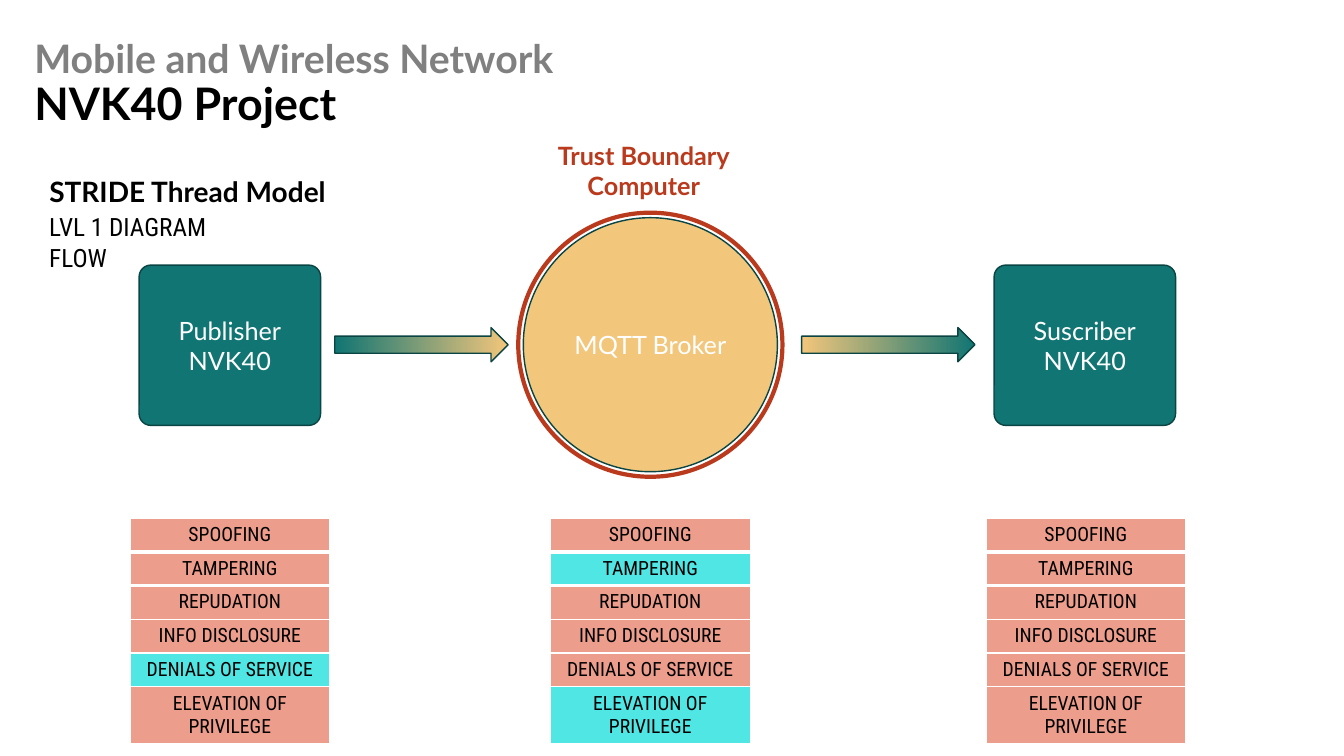
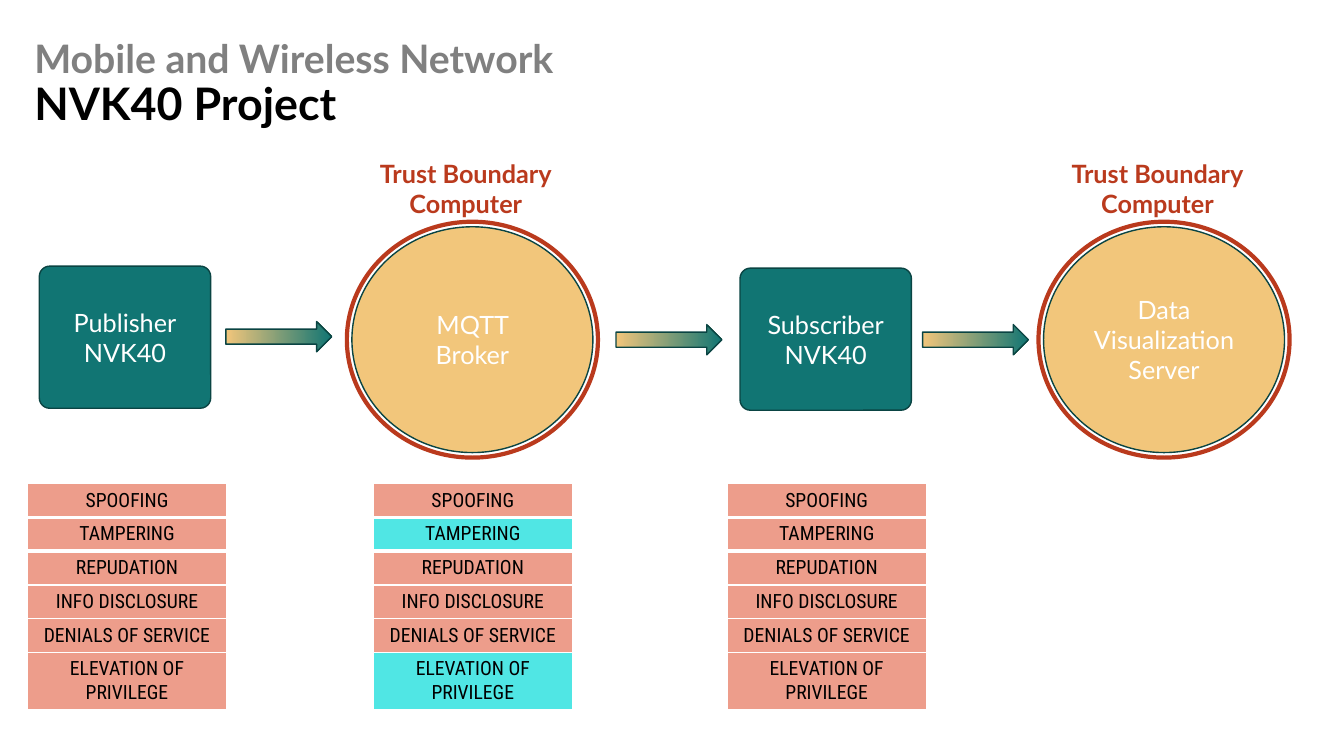
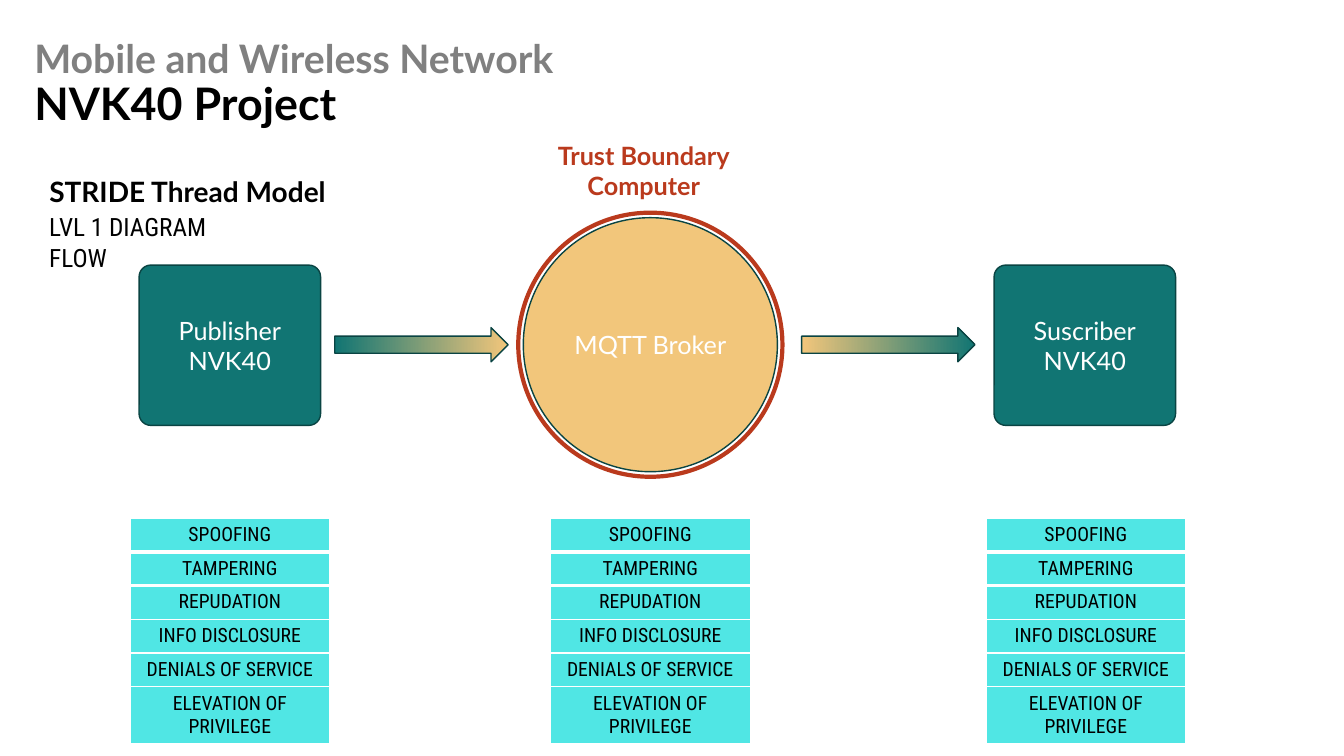
from copy import deepcopy
from dataclasses import dataclass

from pptx import Presentation
from pptx.dml.color import RGBColor
from pptx.enum.shapes import MSO_SHAPE
from pptx.enum.text import MSO_ANCHOR, MSO_AUTO_SIZE, PP_ALIGN
from pptx.oxml import parse_xml
from pptx.oxml.ns import nsdecls, qn
from pptx.util import Inches, Pt

LEFT, CENTER = PP_ALIGN.LEFT, PP_ALIGN.CENTER
MIDDLE, BOTTOM = MSO_ANCHOR.MIDDLE, MSO_ANCHOR.BOTTOM
FIXED = MSO_AUTO_SIZE.NONE
ROUND, OVAL, ARROW = MSO_SHAPE.ROUNDED_RECTANGLE, MSO_SHAPE.OVAL, MSO_SHAPE.RIGHT_ARROW


@dataclass(frozen=True)
class Theme:
    font: str = "Lato"
    thin: str = "Roboto Condensed"
    black: str = "000000"
    white: str = "FFFFFF"
    gray: str = "808080"
    teal: str = "117573"
    edge: str = "0A4443"
    sand: str = "F2C67B"
    rust: str = "BA3A1D"
    rose: str = "ED9D8B"
    aqua: str = "50E6E4"
    title: int = 32
    over: int = 28
    head: int = 20
    body: int = 18
    cell: int = 14


T = Theme()
BOARD = "NVK40"
THREATS = (
    "SPOOFING",
    "TAMPERING",
    "REPUDATION",
    "INFO DISCLOSURE",
    "DENIALS OF SERVICE",
    "ELEVATION OF PRIVILEGE",
)
BROKER = {"TAMPERING", "ELEVATION OF PRIVILEGE"}


def rgb(code):
    return RGBColor.from_string(code)


def say(frame, text, size=T.body, color=T.black, font=T.font, bold=False,
        align=LEFT, space=None, lead=None):
    for n, line in enumerate(text.split("\n")):
        para = frame.add_paragraph() if n else frame.paragraphs[0]
        para.text = line
        para.alignment = align
        para.line_spacing = space
        for k, run in enumerate(para.runs):
            pts, tint = lead if lead and k == 0 else (size, color)
            run.font.size = Pt(pts)
            run.font.color.rgb = rgb(tint)
            run.font.name = font
            run.font.bold = bold
        for gap in para._p.findall(qn("a:br")):
            gap.insert(0, deepcopy(para.runs[0]._r.rPr))


def place(at):
    return [Inches(v) for v in at]


def label(slide, at, text, **form):
    frame = slide.shapes.add_textbox(*place(at)).text_frame
    frame.word_wrap = True
    say(frame, text, **form)


def shape(slide, kind, at, fill=None, line=T.edge, width=1, text=None):
    item = slide.shapes.add_shape(kind, *place(at))
    item.shadow.inherit = False
    item.line.color.rgb = rgb(line)
    item.line.width = Pt(width)
    if fill:
        item.fill.solid()
        item.fill.fore_color.rgb = rgb(fill)
    else:
        item.fill.background()
    if text:
        item.text_frame.vertical_anchor = MIDDLE
        say(item.text_frame, text, color=T.white, align=CENTER)
    return item


def device(slide, at, text):
    shape(slide, ROUND, at, T.teal, text=text).adjustments[0] = 0.073


def server(slide, at, text, rise, pad=0.05):
    x, y, w, h = at
    shape(slide, OVAL, at, T.sand, text=text)
    shape(slide, OVAL, (x - pad, y - pad, w + 2 * pad, h + 2 * pad), line=T.rust, width=3)
    label(slide, (x + 0.14, y - rise, w - 0.41, 0.7), "Trust Boundary\vComputer",
          color=T.rust, bold=True, align=CENTER)


def arrow(slide, at, start=T.sand, end=T.teal):
    fill = shape(slide, ARROW, at).fill
    fill.gradient()
    fill.gradient_angle = 0
    for stop, tint in zip(fill.gradient_stops, (start, end)):
        stop.color.rgb = rgb(tint)


def border(cell, side, width):
    line = parse_xml(
        f'<a:{side} {nsdecls("a")} w="{Pt(width)}"><a:solidFill>'
        f'<a:srgbClr val="{T.white}"/></a:solidFill></a:{side}>')
    cell._tc.get_or_add_tcPr().insert(0, line)


def threats(slide, x, y, marked):
    grid = slide.shapes.add_table(len(THREATS), 1, *place((x, y, 1.98, 2.01))).table
    for n, name in enumerate(THREATS):
        cell = grid.cell(n, 0)
        cell.fill.solid()
        cell.fill.fore_color.rgb = rgb(T.aqua if name in marked else T.rose)
        say(cell.text_frame, name, size=T.cell, font=T.thin, align=CENTER)
    border(grid.cell(0, 0), "lnB", 3)
    border(grid.cell(1, 0), "lnT", 3)


def start():
    deck = Presentation()
    deck.slide_width, deck.slide_height = Inches(13.33), Inches(7.5)
    title = deck.slide_layouts[5].placeholders[0]
    title.left, title.top, title.width, title.height = place((0.24, 0.19, 7.34, 1.15))
    title.text_frame.vertical_anchor = BOTTOM
    title.text_frame.auto_size = FIXED
    return deck


def page(deck):
    slide = deck.slides.add_slide(deck.slide_layouts[5])
    say(slide.shapes.title.text_frame, f"Mobile and Wireless Network\v{BOARD} Project",
        size=T.title, bold=True, space=0.9, lead=(T.over, T.gray))
    return slide


def model(deck, marks):
    slide = page(deck)
    label(slide, (0.39, 1.68, 3.22, 0.44), "STRIDE Thread Model", size=T.head, bold=True)
    label(slide, (0.39, 2.05, 1.8, 0.4), "LVL 1 DIAGRAM FLOW", font=T.thin)
    for x, name in ((1.38, "Publisher"), (9.86, "Suscriber")):
        device(slide, (x, 2.63, 1.8, 1.59), f"{name}\n{BOARD}")
    server(slide, (5.19, 2.16, 2.52, 2.52), "MQTT Broker", 0.82)
    arrow(slide, (3.32, 3.25, 1.72, 0.34), T.teal, T.sand)
    arrow(slide, (7.95, 3.25, 1.72, 0.34))
    for x, marked in zip((1.29, 5.46, 9.78), marks):
        threats(slide, x, 5.14, marked)


def chain(deck):
    slide = page(deck)
    for x, y, name in ((0.39, 2.64, "Publisher"), (7.34, 2.66, "Subscriber")):
        device(slide, (x, y, 1.7, 1.41), f"{name}\n{BOARD}")
    for x, name in ((3.49, "MQTT Broker"), (10.35, "Data Visualization Server")):
        server(slide, (x, 2.25, 2.39, 2.24), name, 0.73)
    for x, y in ((2.24, 3.19), (6.11, 3.22), (9.15, 3.22)):
        arrow(slide, (x, y, 1.05, 0.3))
    for x, marked in ((0.27, ()), (3.7, BROKER), (7.21, ())):
        threats(slide, x, 4.8, marked)


def main():
    deck = start()
    model(deck, ({"DENIALS OF SERVICE"}, BROKER, ()))
    chain(deck)
    model(deck, (THREATS,) * 3)
    deck.save("out.pptx")


if __name__ == "__main__":
    main()
